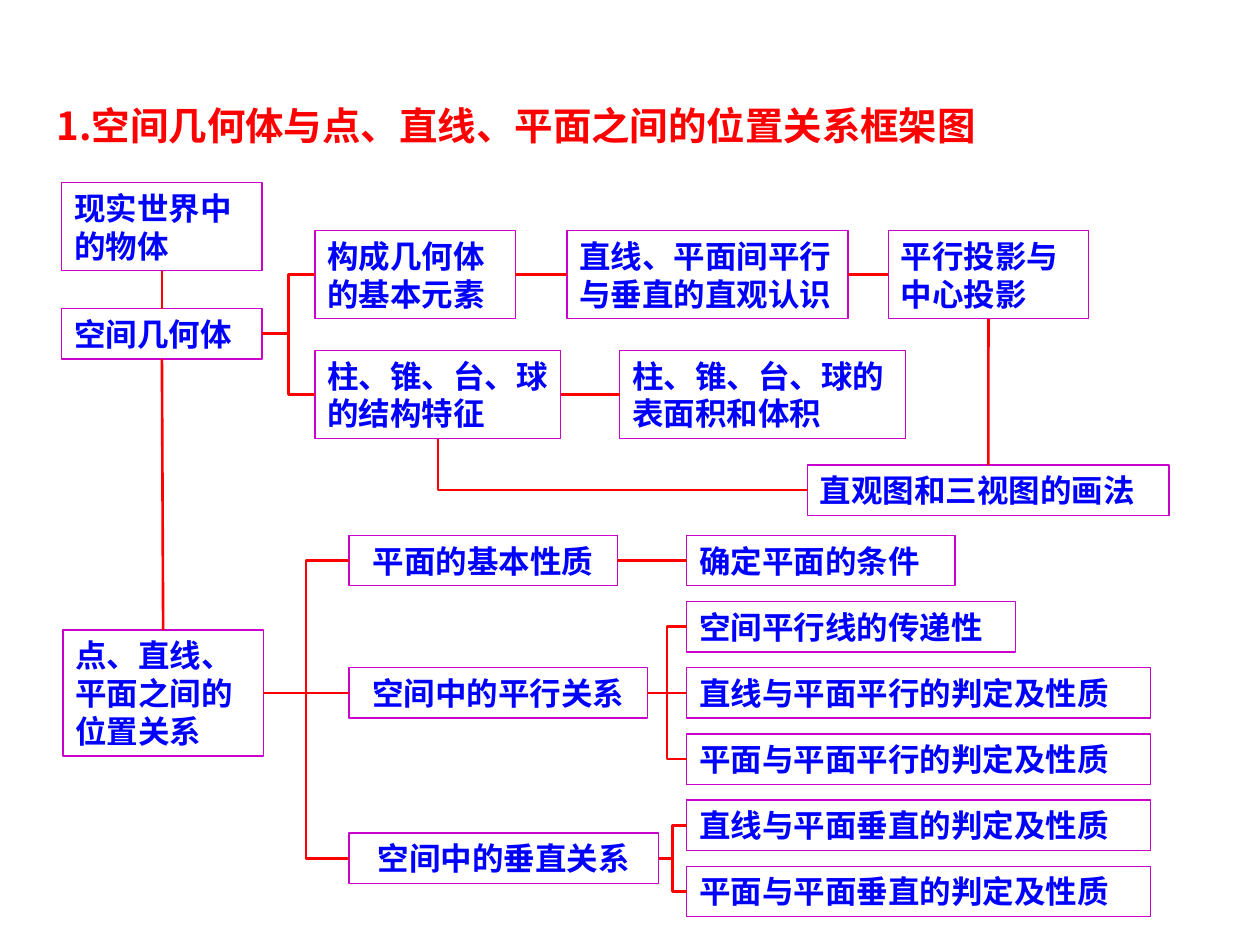
import lxml.etree
import pptx
import pptx.dml.color
import pptx.enum.shapes
import pptx.enum.text
import pptx.oxml.ns
import pptx.util

Pt = pptx.util.Pt
RGBColor = pptx.dml.color.RGBColor
ALIGN = pptx.enum.text.PP_ALIGN
LINK = pptx.enum.shapes.MSO_CONNECTOR
RED = RGBColor(0xFF, 0, 0)
BLUE = RGBColor(0, 0, 0xFF)
PURPLE = RGBColor(0xCC, 0, 0xCC)
FONT = "Noto Sans CJK SC"
TOP, LEFT, BOTTOM, RIGHT = range(4)
HEIGHTS = {1: 28.8, 2: 50.4, 3: 72}
NARROW = 114.5


def write(frame, text, size, color, align=ALIGN.LEFT):
    frame.word_wrap = True
    frame.auto_size = pptx.enum.text.MSO_AUTO_SIZE.SHAPE_TO_FIT_TEXT
    frame.vertical_anchor = pptx.enum.text.MSO_ANCHOR.TOP
    para = frame.paragraphs[0]
    para.alignment = align
    run = para.add_run()
    run.text = text
    run.font.size = Pt(size)
    run.font.bold = True
    run.font.color.rgb = color
    run.font.name = FONT
    props = run.font._element
    lxml.etree.SubElement(props, pptx.oxml.ns.qn("a:ea"), typeface=FONT)
    return para


def add_box(slide, left, top, width, lines, text, align=ALIGN.LEFT):
    box = slide.shapes.add_shape(
        pptx.enum.shapes.MSO_SHAPE.RECTANGLE,
        Pt(left), Pt(top), Pt(width), Pt(HEIGHTS[lines]))
    box.shadow.inherit = False
    box.fill.background()
    box.line.color.rgb = PURPLE
    box.line.width = Pt(0.75)
    write(box.text_frame, text, 18, BLUE, align)
    return box


def join(slide, start, end, kind=LINK.STRAIGHT, out=RIGHT, into=LEFT):
    line = slide.shapes.add_connector(kind, 0, 0, 0, 0)
    line.begin_connect(start, out)
    line.end_connect(end, into)
    line.line.color.rgb = RED
    line.line.width = Pt(1.5)
    lxml.etree.SubElement(line._element.spPr, pptx.oxml.ns.qn("a:effectLst"))
    return line


def add_title(slide, left, top, width, height):
    title = slide.shapes.title
    title.left, title.top = Pt(left), Pt(top)
    title.width, title.height = Pt(width), Pt(height)
    para = write(title.text_frame,
                 "1.空间几何体与点、直线、平面之间的位置关系框架图", 22, RED)
    para.line_spacing = 1.4


def add_solids(slide, left, top):
    def put(dx, dy, width, lines, text):
        return add_box(slide, left + dx, top + dy, width, lines, text)

    second, upper, lower = 144.7, 27.4, 95.8
    real = put(0, 0, NARROW, 2, "现实世界中的物体")
    body = put(0, 72, NARROW, 1, "空间几何体")
    parts = put(second, upper, NARROW, 2, "构成几何体的基本元素")
    sense = put(288.7, upper, 160.6, 2, "直线、平面间平行与垂直的直观认识")
    cast = put(472.3, upper, NARROW, 2, "平行投影与中心投影")
    form = put(second, lower, 140.4, 2, "柱、锥、台、球的结构特征")
    size = put(318.9, lower, 163.4, 2, "柱、锥、台、球的表面积和体积")
    views = put(426.2, 161.3, 206.6, 1, "直观图和三视图的画法")

    join(slide, real, body, out=BOTTOM, into=TOP)
    for child in (parts, form):
        join(slide, body, child, LINK.ELBOW)
    for start, end in ((parts, sense), (sense, cast), (form, size)):
        join(slide, start, end)
    join(slide, cast, views, out=BOTTOM, into=TOP)
    bend = join(slide, views, form, LINK.ELBOW, LEFT, BOTTOM)
    bend._element.spPr.find(pptx.oxml.ns.qn("a:prstGeom")).set(
        "prst", "bentConnector2")
    return body


def add_places(slide, left, top):
    pitch, second, third = 37.8, 163.4, 356.4
    groups = (
        (0, 153.4, "平面的基本性质", ((0, 153.4, "确定平面的条件"),)),
        (2, 170.6, "空间中的平行关系", (
            (1, 188, "空间平行线的传递性"),
            (2, 265, "直线与平面平行的判定及性质"),
            (3, 265, "平面与平面平行的判定及性质"))),
        (4.5, 177.1, "空间中的垂直关系", (
            (4, 265, "直线与平面垂直的判定及性质"),
            (5, 265, "平面与平面垂直的判定及性质"))),
    )
    middle = top + 2 * pitch + (HEIGHTS[1] - HEIGHTS[3]) / 2
    root = add_box(slide, left, middle, NARROW, 3,
                   "点、直线、平面之间的位置关系")
    for row, width, text, leaves in groups:
        group = add_box(slide, left + second, top + row * pitch, width, 1,
                        text, ALIGN.CENTER)
        join(slide, root, group, LINK.STRAIGHT if row == 2 else LINK.ELBOW)
        for spot, span, label in leaves:
            leaf = add_box(slide, left + third, top + spot * pitch, span, 1,
                           label)
            join(slide, group, leaf,
                 LINK.STRAIGHT if spot == row else LINK.ELBOW)
    return root


def main():
    deck = pptx.Presentation()
    deck.slide_width, deck.slide_height = Pt(720), Pt(540)
    slide = deck.slides.add_slide(deck.slide_layouts[5])
    add_title(slide, 25.2, 43.9, 604.8, 44.6)
    body = add_solids(slide, 35.3, 104.4)
    root = add_places(slide, 36, 306)
    join(slide, body, root, out=BOTTOM, into=TOP)
    deck.save("out.pptx")


if __name__ == "__main__":
    main()
